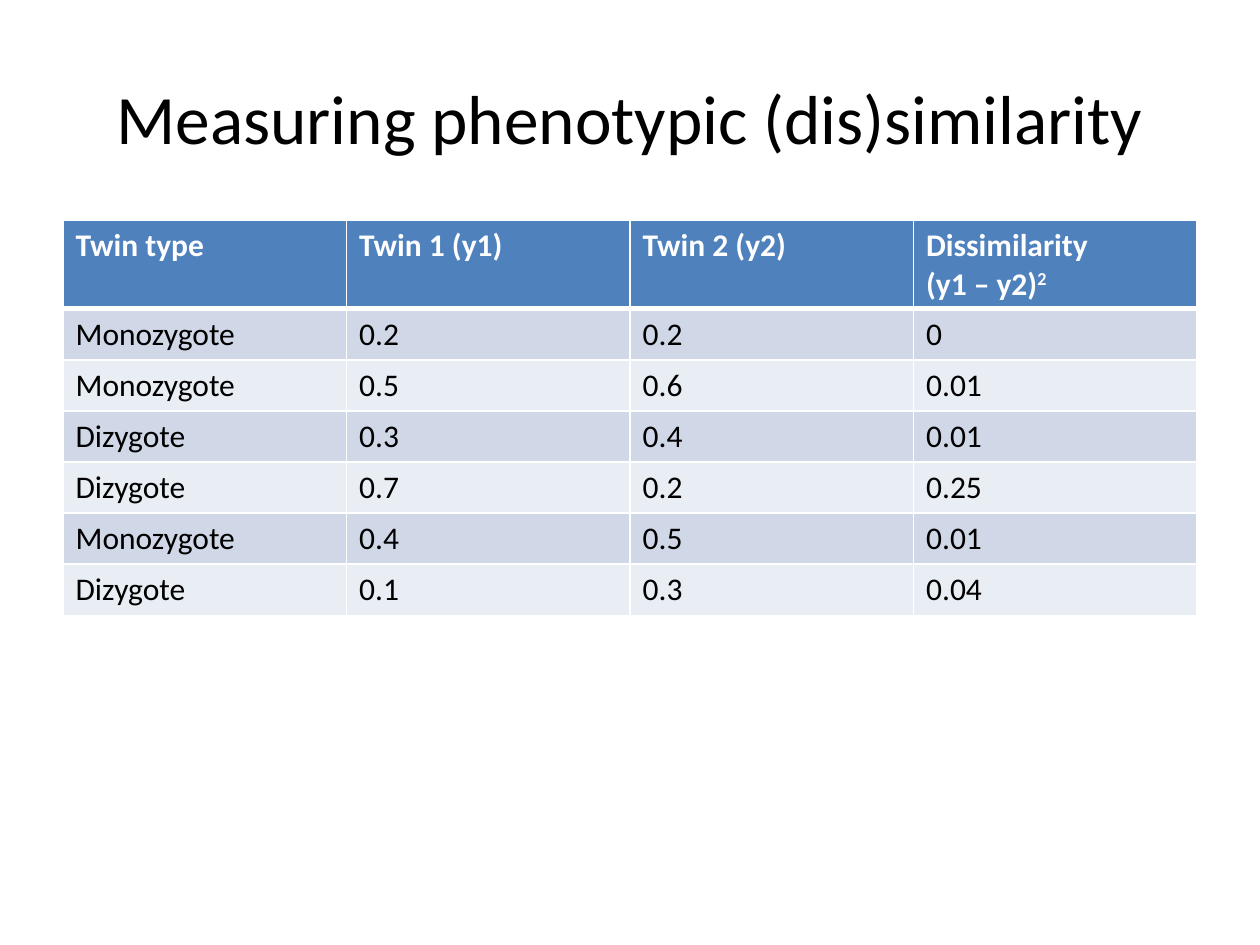
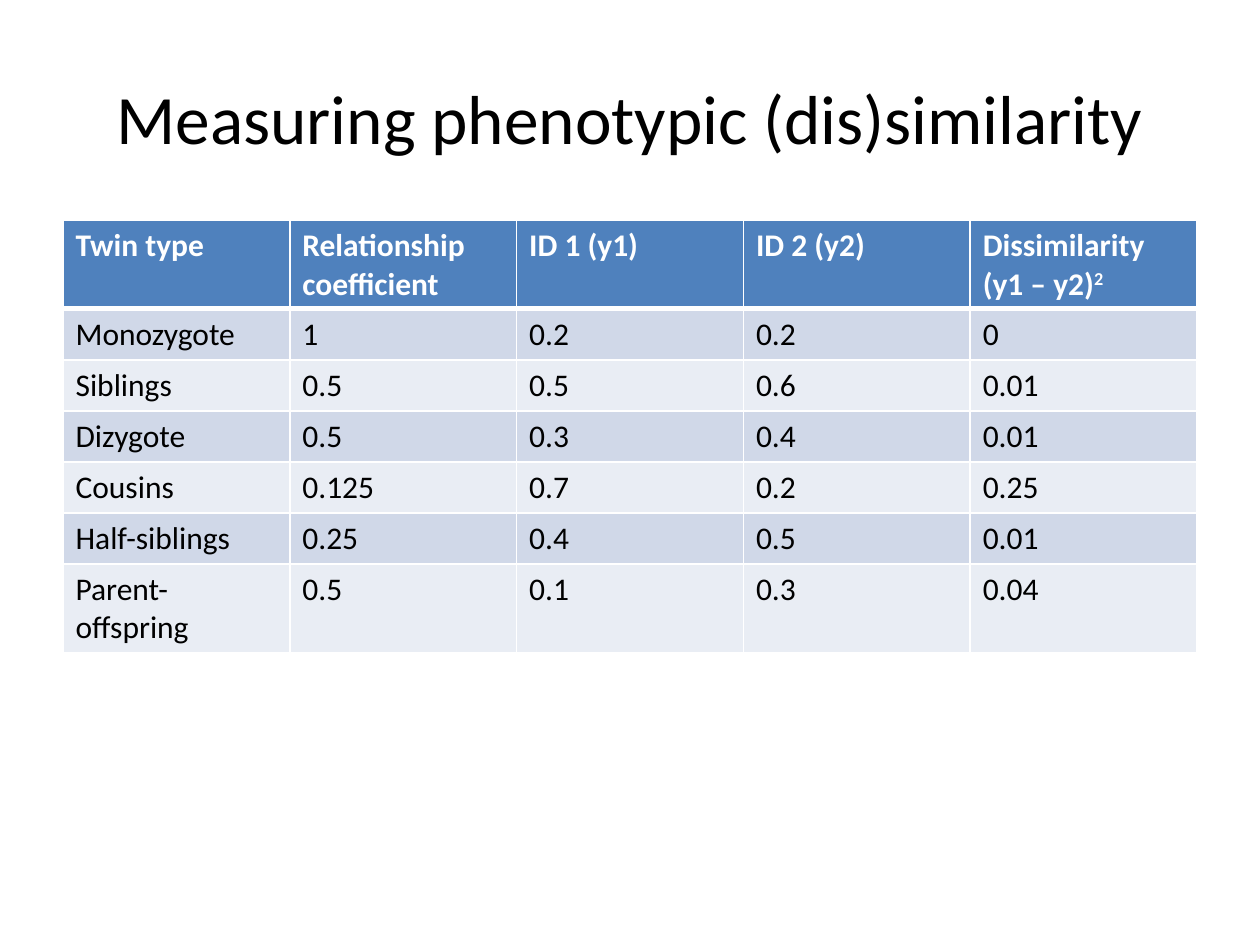
from lxml import etree
from pptx import Presentation
from pptx.dml.color import RGBColor
from pptx.enum.text import MSO_ANCHOR, PP_ALIGN
from pptx.oxml.ns import qn
from pptx.util import Pt

MIDDLE = MSO_ANCHOR.MIDDLE
CENTER = PP_ALIGN.CENTER

COLORS = {
    "text": "000000",
    "header": "4F81BD",
    "header text": "FFFFFF",
    "odd row": "D0D8E8",
    "even row": "E9EDF4",
    "border": "FFFFFF",
}
FONT = "Calibri"
TITLE_FORMAT = {"name": FONT, "size": Pt(39.6), "bold": False}
HEADER_FORMAT = {"name": FONT, "size": Pt(18), "bold": True}
BODY_FORMAT = {"name": FONT, "size": Pt(18), "bold": False}

LEFT, WIDTH = 36, 648
TITLE_TOP, TITLE_HEIGHT = 21.6, 90
TABLE_TOP, ROW_HEIGHT = 126, 29.2
THIN, THICK = 1, 3

TITLE = "Measuring phenotypic (dis)similarity"
DISSIMILARITY = "Dissimilarity\n(y1 – y2)^2"

TWIN_ROWS = [
    ["Twin type", "Twin 1 (y1)", "Twin 2 (y2)", DISSIMILARITY],
    ["Monozygote", "0.2", "0.2", "0"],
    ["Monozygote", "0.5", "0.6", "0.01"],
    ["Dizygote", "0.3", "0.4", "0.01"],
    ["Dizygote", "0.7", "0.2", "0.25"],
    ["Monozygote", "0.4", "0.5", "0.01"],
    ["Dizygote", "0.1", "0.3", "0.04"],
]
RELATIVES = [
    ("Relationship coefficient", None),
    ("1", "Monozygote"),
    ("0.5", "Siblings"),
    ("0.5", "Dizygote"),
    ("0.125", "Cousins"),
    ("0.25", "Half-siblings"),
    ("0.5", "Parent-offspring"),
]


def relative_rows():
    """Reuse the twin measurements with other relatives and their coefficients."""
    rows = [
        [relative or twin_row[0], coefficient, *twin_row[1:]]
        for (coefficient, relative), twin_row in zip(RELATIVES, TWIN_ROWS)
    ]
    rows[0][2:4] = ["ID 1 (y1)", "ID 2 (y2)"]
    return rows


class Deck:
    def __init__(self):
        self.presentation = Presentation()
        self.presentation.slide_width = Pt(720)
        self.presentation.slide_height = Pt(540)
        self.slide = None

    def add_slide(self, title):
        blank_layout = self.presentation.slide_layouts[6]
        self.slide = self.presentation.slides.add_slide(blank_layout)
        self.add_title(title)

    def add_title(self, text):
        box = self.slide.shapes.add_textbox(
            Pt(LEFT), Pt(TITLE_TOP), Pt(WIDTH), Pt(TITLE_HEIGHT))
        box.text_frame.word_wrap = True
        box.text_frame.vertical_anchor = MIDDLE
        self.add_text(box.text_frame, text, TITLE_FORMAT, "text")
        box.text_frame.paragraphs[0].alignment = CENTER

    def add_table(self, rows):
        column_count = len(rows[0])
        table = self.slide.shapes.add_table(
            len(rows), column_count, Pt(LEFT), Pt(TABLE_TOP),
            Pt(WIDTH), Pt(ROW_HEIGHT * len(rows))).table
        table.horz_banding = False
        for column in table.columns:
            column.width = Pt(WIDTH / column_count)
        for row_index, texts in enumerate(rows):
            table.rows[row_index].height = Pt(ROW_HEIGHT)
            for column_index, text in enumerate(texts):
                self.fill_cell(table.cell(row_index, column_index), text, row_index)

    def fill_cell(self, cell, text, row_index):
        if row_index == 0:
            fill, color, text_format = "header", "header text", HEADER_FORMAT
        else:
            fill = "odd row" if row_index % 2 else "even row"
            color, text_format = "text", BODY_FORMAT
        self.add_text(cell.text_frame, text, text_format, color)
        self.add_borders(cell, {
            "L": THIN,
            "R": THIN,
            "T": THICK if row_index == 1 else THIN,
            "B": THICK if row_index == 0 else THIN,
        })
        cell.fill.solid()
        cell.fill.fore_color.rgb = RGBColor.from_string(COLORS[fill])

    def add_borders(self, cell, widths):
        properties = cell._tc.get_or_add_tcPr()
        for side, width in widths.items():
            line = etree.SubElement(properties, qn(f"a:ln{side}"), w=str(Pt(width)))
            fill = etree.SubElement(line, qn("a:solidFill"))
            etree.SubElement(fill, qn("a:srgbClr"), val=COLORS["border"])

    def add_text(self, text_frame, text, text_format, color):
        """Add one paragraph a line; what follows ^ is superscript."""
        for index, line in enumerate(text.split("\n")):
            paragraph = text_frame.add_paragraph() if index else text_frame.paragraphs[0]
            for part_index, part in enumerate(line.split("^")):
                run = paragraph.add_run()
                run.text = part
                for name, value in text_format.items():
                    setattr(run.font, name, value)
                run.font.color.rgb = RGBColor.from_string(COLORS[color])
                if part_index:
                    run._r.get_or_add_rPr().set("baseline", "30000")


def main():
    deck = Deck()
    for rows in (TWIN_ROWS, relative_rows()):
        deck.add_slide(TITLE)
        deck.add_table(rows)
    deck.presentation.save("out.pptx")


if __name__ == "__main__":
    main()
